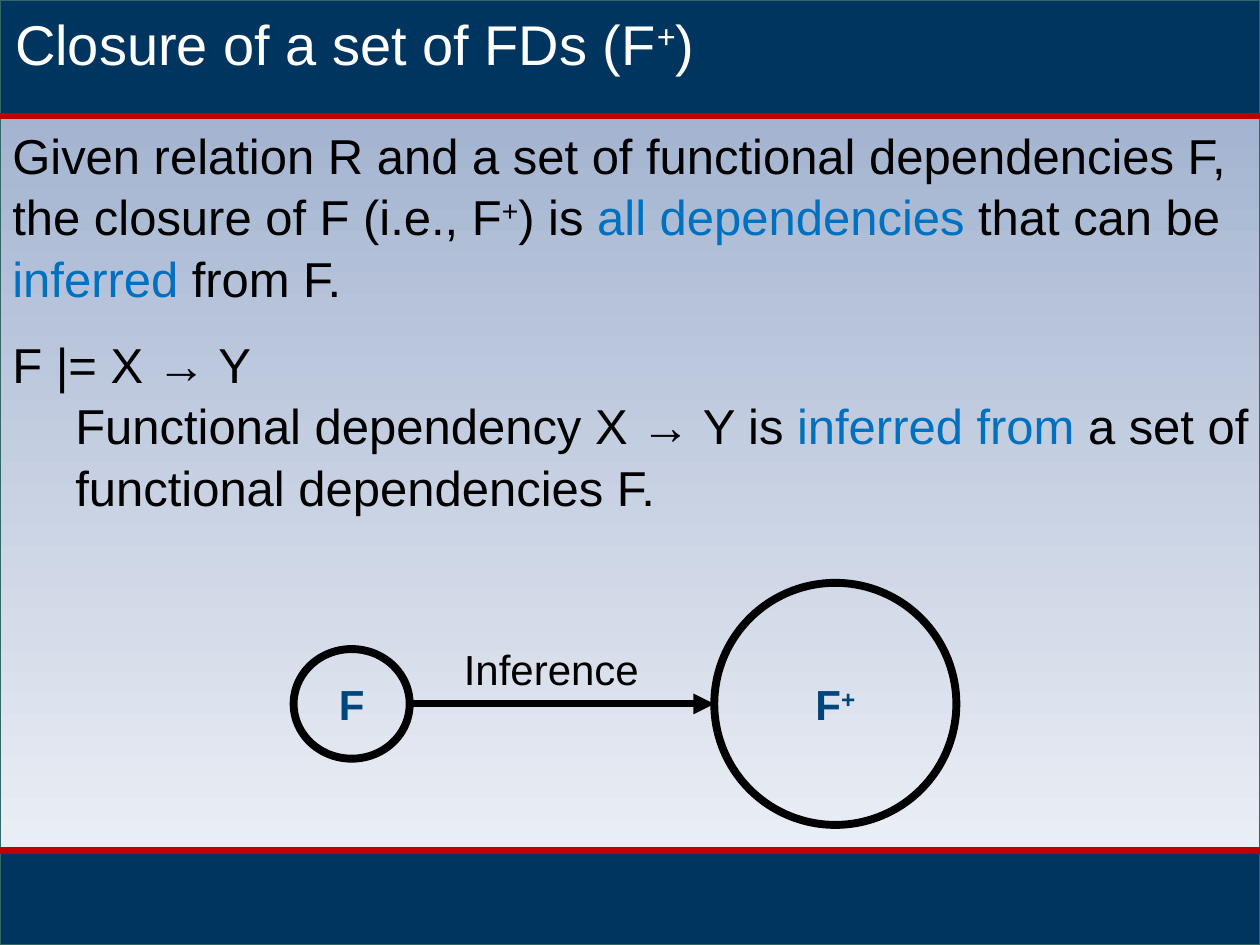
from lxml.etree import SubElement
from pptx import Presentation
from pptx.dml.color import RGBColor
from pptx.enum.shapes import MSO_CONNECTOR, MSO_SHAPE
from pptx.enum.text import MSO_ANCHOR, PP_ALIGN
from pptx.oxml.ns import qn
from pptx.util import Cm, Pt

WIDTH, HEIGHT = 25.4, 19.05
HEADER_BOTTOM, FOOTER_TOP = 2.34, 17.15
NAVY, RED, BORDER = "003560", "BC0000", "336666"
BLACK, WHITE, ACCENT, LABEL = "000000", "FFFFFF", "0070C0", "00457C"
SUPERSCRIPT = "+"

TITLE = [("Closure of a set of FDs (F", WHITE), (SUPERSCRIPT, WHITE), (")", WHITE)]
DEFINITION = [
    (0, [("Given relation R and a set of functional dependencies F,", BLACK)]),
    (0, [("the closure of F (i.e., F", BLACK), (SUPERSCRIPT, BLACK), (") is ", BLACK),
         ("all dependencies ", ACCENT), ("that can be ", BLACK),
         ("inferred", ACCENT), (" from F.", BLACK)]),
]
NOTATION = [
    (0, [("F |= X → Y", BLACK)]),
    (1, [("Functional dependency X → Y is ", BLACK), ("inferred from ", ACCENT),
         ("a set of functional dependencies F.", BLACK)]),
]
BODY_BOXES = [(HEADER_BOTTOM, DEFINITION), (6.55, NOTATION)]
BODY_WIDTH, BODY_HEIGHT = 25.43, 3.84
AXIS = 14.19
CIRCLES = [
    (14.4, 4.88, 4.88, [("F", LABEL), (SUPERSCRIPT, LABEL)]),
    (5.92, 2.34, 2.21, [("F", LABEL)]),
]


def color(value):
    """Turn a hex string into a colour."""
    return RGBColor.from_string(value)


def add_runs(paragraph, runs, size, bold=False):
    """Add coloured Arial runs to a paragraph, raising superscripts."""
    for text, value in runs:
        run = paragraph.add_run()
        run.text = text
        run.font.name = "Arial"
        run.font.size = Pt(size)
        run.font.bold = bold
        run.font.color.rgb = color(value)
        if text == SUPERSCRIPT:
            run.font._element.set("baseline", "30000")


def add_outlined(slide, kind, box, line_color, line_width):
    """Add an unfilled shape with a plain outline."""
    shape = slide.shapes.add_shape(kind, *(Cm(length) for length in box))
    shape.shadow.inherit = False
    shape.fill.background()
    shape.line.color.rgb = color(line_color)
    shape.line.width = Pt(line_width)
    return shape


def add_line(slide, start, end, line_color, width):
    """Add a straight connector without a shadow."""
    line = slide.shapes.add_connector(
        MSO_CONNECTOR.STRAIGHT, *(Cm(length) for length in start + end))
    line.line.color.rgb = color(line_color)
    line.line.width = Pt(width)
    SubElement(line._element.spPr, qn("a:effectLst"))
    return line


def add_background(slide):
    """Add the gradient, the two bands and their red rules."""
    backdrop = add_outlined(slide, MSO_SHAPE.RECTANGLE, (0, 0, WIDTH, HEIGHT), BORDER, 0.75)
    backdrop.fill.gradient()
    backdrop.fill.gradient_angle = 270
    for stop, position, value in zip(backdrop.fill.gradient_stops, (0, 1), ("99ABCB", "F3F5F9")):
        stop.position = position
        stop.color.rgb = color(value)
    for top, bottom in ((FOOTER_TOP, HEIGHT), (0, HEADER_BOTTOM)):
        band = add_outlined(slide, MSO_SHAPE.RECTANGLE, (0, top, WIDTH, bottom - top), BORDER, 0.75)
        band.fill.solid()
        band.fill.fore_color.rgb = color(NAVY)
    for height in (HEADER_BOTTOM, FOOTER_TOP):
        add_line(slide, (0, height), (WIDTH, height), RED, 3.75)


def add_title(slide):
    """Place the title over the header band."""
    title = slide.shapes.title
    title.left, title.top, title.width, title.height = Cm(0.05), Cm(0), Cm(25.35), Cm(1.63)
    title.element.getparent().append(title.element)
    title.text_frame.vertical_anchor = MSO_ANCHOR.TOP
    paragraph = title.text_frame.paragraphs[0]
    paragraph.alignment = PP_ALIGN.LEFT
    paragraph.line_spacing = 1.05
    add_runs(paragraph, TITLE, 32)


def add_body(slide, top, paragraphs):
    """Add a full-width text box with indented levels."""
    frame = slide.shapes.add_textbox(Cm(0), Cm(top), Cm(BODY_WIDTH), Cm(BODY_HEIGHT)).text_frame
    frame.word_wrap = True
    for index, (level, runs) in enumerate(paragraphs):
        paragraph = frame.add_paragraph() if index else frame.paragraphs[0]
        paragraph.level = level
        paragraph.line_spacing = 1.05
        properties = paragraph._p.get_or_add_pPr()
        properties.set("marL", str(Cm(1.27) * level))
        properties.set("indent", "0")
        add_runs(paragraph, runs, 28)


def add_diagram(slide):
    """Draw F, its closure and the inference arrow between them."""
    for left, width, height, runs in CIRCLES:
        box = (left, AXIS - height / 2, width, height)
        circle = add_outlined(slide, MSO_SHAPE.OVAL, box, BLACK, 4.5)
        frame = circle.text_frame
        frame.margin_left = frame.margin_right = frame.margin_top = frame.margin_bottom = 0
        frame.vertical_anchor = MSO_ANCHOR.MIDDLE
        frame.paragraphs[0].alignment = PP_ALIGN.CENTER
        add_runs(frame.paragraphs[0], runs, 24, bold=True)
    closure, source = CIRCLES
    arrow = add_line(slide, (source[0] + source[1], AXIS), (closure[0], AXIS), BLACK, 4)
    SubElement(arrow.line._get_or_add_ln(), qn("a:tailEnd"), type="triangle")
    caption = slide.shapes.add_textbox(Cm(9.1), Cm(12.8), Cm(4.09), Cm(1.27)).text_frame
    caption.word_wrap = False
    caption.paragraphs[0].line_spacing = 1.05
    add_runs(caption.paragraphs[0], [("Inference", BLACK)], 24)


def main():
    """Build and save the slide."""
    presentation = Presentation()
    presentation.slide_width, presentation.slide_height = Cm(WIDTH), Cm(HEIGHT)
    slide = presentation.slides.add_slide(presentation.slide_layouts[5])
    add_background(slide)
    add_title(slide)
    for top, paragraphs in BODY_BOXES:
        add_body(slide, top, paragraphs)
    add_diagram(slide)
    presentation.save("out.pptx")


if __name__ == "__main__":
    main()
